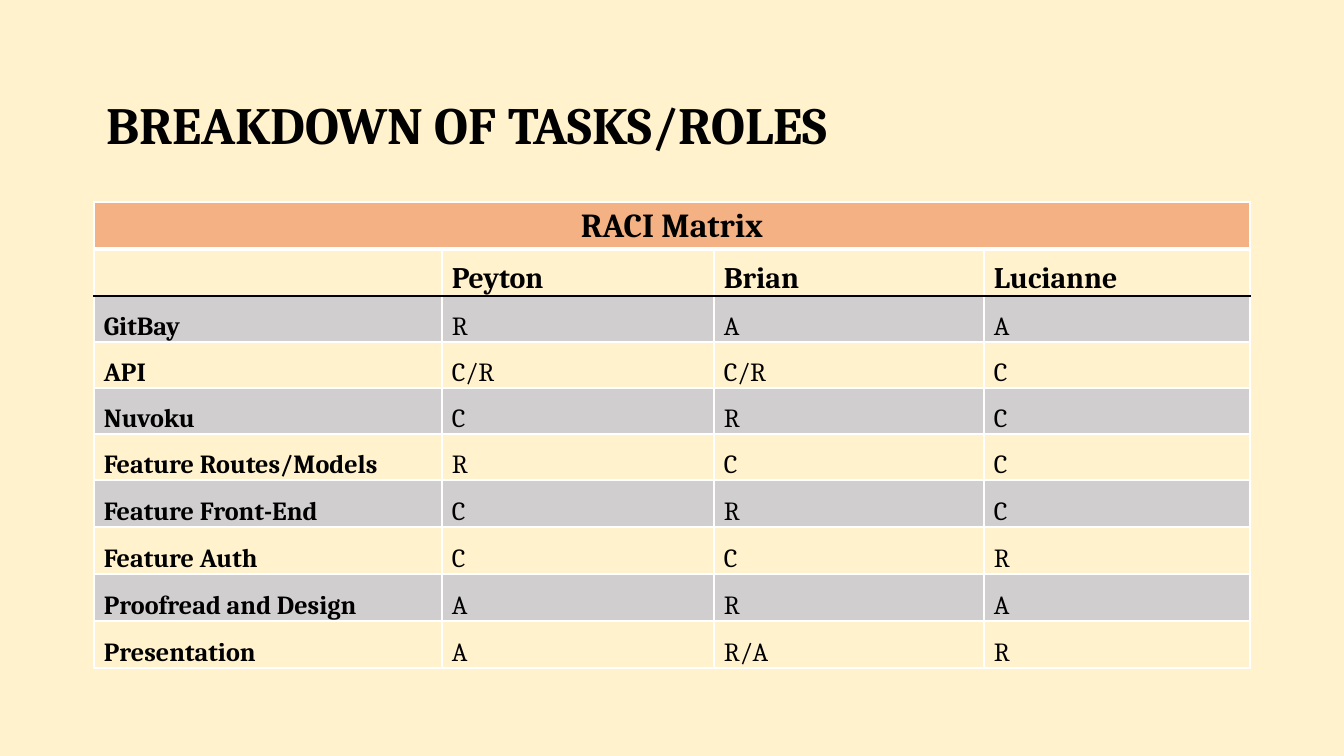
from lxml.etree import SubElement
from pptx import Presentation
from pptx.dml.color import RGBColor
from pptx.enum.text import MSO_ANCHOR, PP_ALIGN
from pptx.oxml.ns import qn
from pptx.util import Emu, Pt

PX = 914400 / 134.4
COLORS = {"cream": "FFF2CC", "orange": "F4B183", "gray": "D0CECE",
          "white": "FFFFFF", "black": "000000"}


def write(tf, text, size=14, bold=False, align=PP_ALIGN.LEFT, spacing=1.07):
    p = tf.paragraphs[0]
    p.alignment = align
    p.line_spacing = spacing
    p.space_before = Pt(0)
    r = p.add_run()
    r.text = text
    r.font.name = "Cambria"
    r.font.size = Pt(size)
    r.font.bold = bold
    r.font.color.rgb = RGBColor.from_string(COLORS["black"])


def border(cell, side, color="white", width=1):
    ln = SubElement(cell._tc.get_or_add_tcPr(), qn(f"a:ln{side}"), w=str(Pt(width)))
    fill = SubElement(ln, qn("a:solidFill"))
    SubElement(fill, qn("a:srgbClr"), val=COLORS[color])


prs = Presentation()
prs.slide_width = Emu(round(1344 * PX))
prs.slide_height = Emu(round(756 * PX))
slide = prs.slides.add_slide(prs.slide_layouts[5])
slide.background.fill.solid()
slide.background.fill.fore_color.rgb = RGBColor.from_string(COLORS["cream"])

rows = [
    ["RACI Matrix", "", "", ""],
    ["", "Peyton", "Brian", "Lucianne"],
    ["GitBay", "R", "A", "A"],
    ["API", "C/R", "C/R", "C"],
    ["Nuvoku", "C", "R", "C"],
    ["Feature Routes/Models", "R", "C", "C"],
    ["Feature Front-End", "C", "R", "C"],
    ["Feature Auth", "C", "C", "R"],
    ["Proofread and Design", "A", "R", "A"],
    ["Presentation", "A", "R/A", "R"],
]
widths = [348, 272, 270, 266]
heights = [47] * 2 + [46] * 4 + [47] * 4

box = [Emu(round(v * PX)) for v in (94, 202, sum(widths), sum(heights))]
table = slide.shapes.add_table(len(rows), len(widths), *box).table
table.first_row = False
table.horz_banding = False
for col, width in zip(table.columns, widths):
    col.width = Emu(round(width * PX))
for row, height in zip(table.rows, heights):
    row.height = Emu(round(height * PX))
table.cell(0, 0).merge(table.cell(0, 3))

for i, row in enumerate(rows):
    for j, text in enumerate(row):
        cell = table.cell(i, j)
        cell.margin_left = cell.margin_right = Emu(round(10 * PX))
        cell.margin_top = cell.margin_bottom = 0
        cell.vertical_anchor = MSO_ANCHOR.BOTTOM if i else MSO_ANCHOR.MIDDLE
        border(cell, "L")
        border(cell, "R")
        border(cell, "T", "black" if i == 2 else "white")
        border(cell, "B", "black" if i == 1 else "white", 1 if i else 3)
        if i % 2:
            cell.fill.background()
        else:
            cell.fill.solid()
            cell.fill.fore_color.rgb = RGBColor.from_string(COLORS["gray" if i else "orange"])
        if text:
            write(cell.text_frame, text, size={0: 18, 1: 16}.get(i, 14),
                  bold=i < 2 or j == 0,
                  align=PP_ALIGN.LEFT if i else PP_ALIGN.CENTER)

title = slide.shapes.title
title.left, title.top, title.width, title.height = [
    Emu(round(v * PX)) for v in (93, 66, 1251, 124)]
tf = title.text_frame
tf.word_wrap = True
tf.vertical_anchor = MSO_ANCHOR.MIDDLE
tf.margin_left = tf.margin_right = tf.margin_top = tf.margin_bottom = Emu(round(13 * PX))
write(tf, "BREAKDOWN OF TASKS/ROLES", size=28, bold=True, spacing=0.9)

prs.save("out.pptx")
